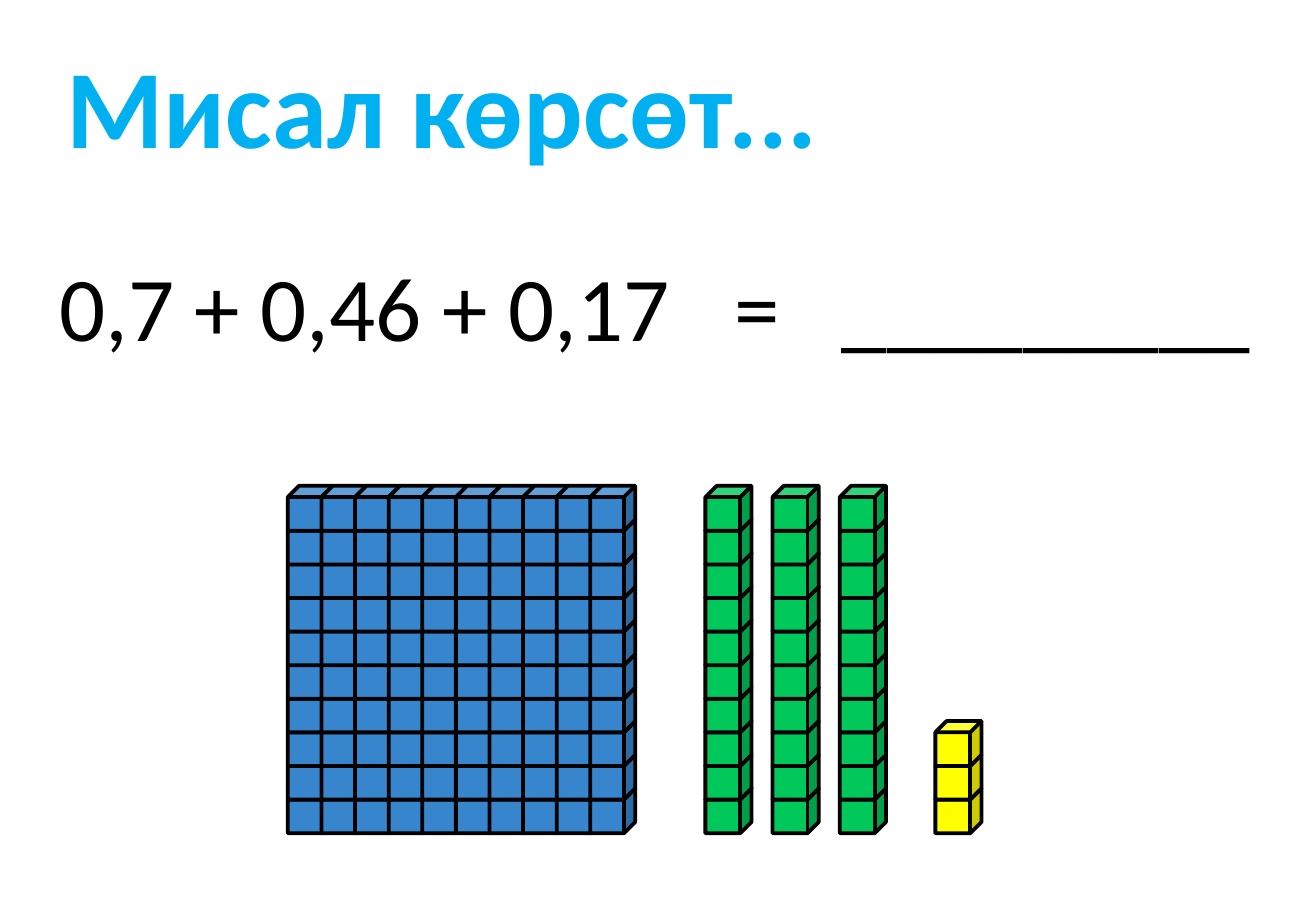
from dataclasses import dataclass

from lxml.etree import SubElement
from pptx import Presentation
from pptx.dml.color import RGBColor
from pptx.enum.shapes import MSO_SHAPE
from pptx.oxml.ns import qn
from pptx.util import Pt

SCALE = 3048  # EMU per px, 300 px to the inch
COLORS = {
    "black": "000000",
    "title": "00B0F0",
    "blue": "3786CD",
    "green": "00C85A",
    "yellow": "FFFF00",
}

PITCH = 83  # step from cube to cube
TALL = 111  # height of a cube
BASE = 1947  # top of the lowest cubes


@dataclass
class Stack:
    left: int
    cols: int
    rows: int
    width: int
    color: str


@dataclass
class Label:
    text: str
    left: int
    top: int
    width: int
    height: int
    inset: int
    size: int
    color: str
    bold: bool = False
    tabs: tuple[int, ...] = ()


SUM = Label("0,7 + 0,46 + 0,17\t=\t_________", 54, 603, 3141, 303,
            93, 54, "black", tabs=(1668, 1932))
TITLE = Label("Мисал көрсөт...", 72, 78, 2262, 363, 92, 66, "title", bold=True)

RODS = [Stack(1742 + 2 * PITCH * i, 1, 10, 114, "green") for i in range(3)]
STACKS = [
    Stack(711, 10, 10, 111, "blue"),
    *RODS,
    Stack(2310, 1, 3, 114, "yellow"),
]


def px(count: int) -> int:
    return count * SCALE


def rgb(name: str) -> RGBColor:
    return RGBColor.from_string(COLORS[name])


def draw_label(slide, label: Label) -> None:
    box = slide.shapes.add_textbox(px(label.left), px(label.top),
                                   px(label.width), px(label.height))
    frame = box.text_frame
    frame.word_wrap = True
    frame.margin_left = px(label.inset)
    para = frame.paragraphs[0]
    para.text = label.text
    if label.tabs:
        stops = SubElement(para._p.get_or_add_pPr(), qn("a:tabLst"))
        for pos in label.tabs:
            SubElement(stops, qn("a:tab"), pos=str(px(pos)), algn="l")
    font = para.font
    font.name = "Calibri"
    font.size = Pt(label.size)
    font.bold = label.bold
    font.color.rgb = rgb(label.color)


def draw_cube(group, left: int, top: int, stack: Stack) -> None:
    cube = group.shapes.add_shape(MSO_SHAPE.CUBE, px(left), px(top),
                                  px(stack.width), px(TALL))
    cube.shadow.inherit = False
    cube.fill.solid()
    cube.fill.fore_color.rgb = rgb(stack.color)
    cube.line.color.rgb = rgb("black")
    cube.line.width = Pt(2.25)


def draw_stack(slide, stack: Stack) -> None:
    group = slide.shapes.add_group_shape()
    # Left to right, each column from the bottom up
    for col in range(stack.cols):
        for row in range(stack.rows):
            draw_cube(group, stack.left + col * PITCH, BASE - row * PITCH, stack)


def main() -> None:
    deck = Presentation()
    deck.slide_width, deck.slide_height = px(3250), px(2250)
    slide = deck.slides.add_slide(deck.slide_layouts[6])

    # Sum to solve
    draw_label(slide, SUM)

    # Base-ten blocks
    for stack in STACKS:
        draw_stack(slide, stack)

    # Title
    draw_label(slide, TITLE)

    deck.save("out.pptx")


if __name__ == "__main__":
    main()
